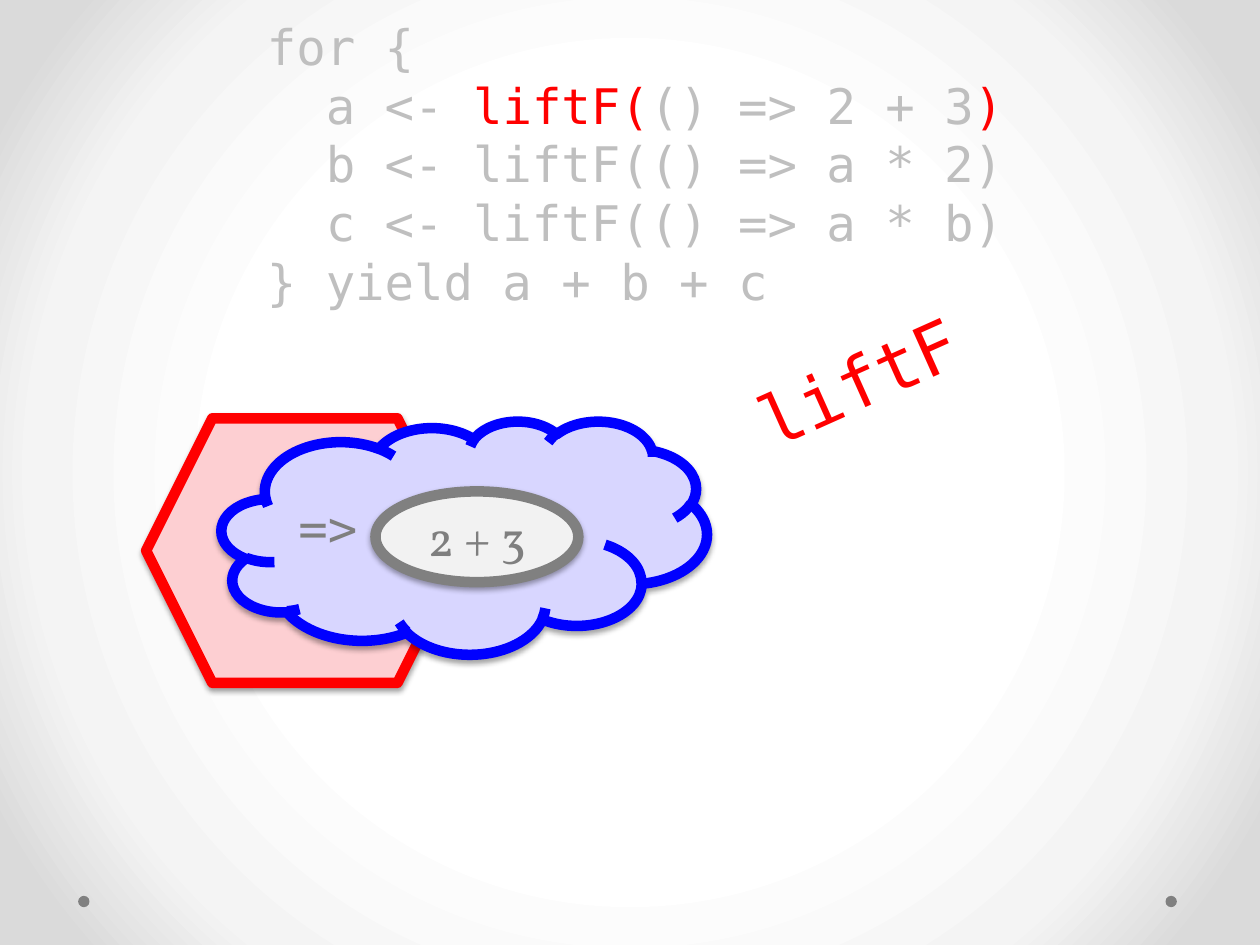
from lxml import etree
from pptx import Presentation
from pptx.dml.color import RGBColor
from pptx.enum.shapes import MSO_SHAPE as Shape
from pptx.enum.text import MSO_ANCHOR as Anchor, PP_ALIGN as Align
from pptx.oxml import parse_xml
from pptx.util import Inches, Pt

MONO, SERIF = "DejaVu Sans Mono", "Vollkorn"
RED, BLUE, GRAY, TEXT_GRAY, PALE = "FF0000", "0000FF", "808080", "7F7F7F", "BFBFBF"
NS = 'xmlns:a="http://schemas.openxmlformats.org/drawingml/2006/main"'

# Content: each code line is a list of (text, colour) runs
CODE = [
    [("for {", PALE)],
    [("  a <- ", PALE), ("liftF(", RED), ("() => 2 + 3", PALE), (")", RED)],
    [("  b <- liftF(() => a * 2)", PALE)],
    [("  c <- liftF(() => a * b)", PALE)],
    [("} yield a + b + c", PALE)],
]
BACKGROUND_STOPS = [(50, "FFFFFF"), (76, "F4F4F4"), (92, "DADADA")]
DOTS = [(9.25, 7.11, 0.09, 0.09), (0.62, 7.11, 0.09, 0.09)]


def color(value):
    return RGBColor.from_string(value)


def add_shape(kind, box, fill, line=None):
    shape = slide.shapes.add_shape(kind, *map(Inches, box))
    shape.shadow.inherit = False
    shape.fill.solid()
    shape.fill.fore_color.rgb = color(fill)
    if line is None:
        shape.line.fill.background()
        return shape
    shape.line.color.rgb = color(line)
    shape.line.width = Pt(6)
    effects = shape._element.spPr.find("{*}effectLst")
    effects.append(parse_xml(
        f'<a:outerShdw {NS} blurRad="{Pt(3.1)}" dist="{Pt(1.8)}" dir="5400000" rotWithShape="0">'
        '<a:srgbClr val="000000"><a:alpha val="35000"/></a:srgbClr></a:outerShdw>'))
    return shape


def write(frame, lines, size, font=MONO, align=Align.LEFT):
    frame.word_wrap = True
    for index, runs in enumerate(lines):
        paragraph = frame.add_paragraph() if index else frame.paragraphs[0]
        paragraph.alignment = align
        paragraph.font.size = Pt(size)
        paragraph.font.name = font
        for text, tint in runs:
            run = paragraph.add_run()
            run.text = text
            run.font.color.rgb = color(tint)


def add_text(box, lines, size, rotation=0):
    text_box = slide.shapes.add_textbox(*map(Inches, box))
    text_box.rotation = rotation
    write(text_box.text_frame, lines, size)


presentation = Presentation()
presentation.slide_width, presentation.slide_height = Inches(10), Inches(7.5)
slide = presentation.slides.add_slide(presentation.slide_layouts[6])

# Radial background
slide.background.fill.gradient()
gradient = next(slide._element.iter("{*}gradFill"))
stops = "".join(f'<a:gs pos="{position * 1000}"><a:srgbClr val="{tint}"/></a:gs>'
                for position, tint in BACKGROUND_STOPS)
gradient.getparent().replace(gradient, parse_xml(
    f'<a:gradFill {NS} rotWithShape="1"><a:gsLst>{stops}</a:gsLst><a:path path="circle">'
    '<a:fillToRect l="50000" t="50000" r="50000" b="50000"/></a:path></a:gradFill>'))

# Corner dots
for dot in DOTS:
    add_shape(Shape.OVAL, dot, GRAY)

# Hexagon and cloud
add_shape(Shape.HEXAGON, (1.16, 3.32, 2.52, 2.1), "FDCFD2", RED)
add_shape(Shape.CLOUD, (1.76, 3.34, 3.85, 1.85), "D8D6FF", BLUE)

# Code and its tilted label
add_text((2.02, 0.08, 7.28, 2.93), CODE, 28)
add_text((5.84, 2.47, 2.7, 0.77), [[("liftF", RED)]], 40, rotation=335.9)

# Function value inside the cloud
value = add_shape(Shape.OVAL, (2.98, 3.9, 1.61, 0.72), "F2F2F2", GRAY)
value.text_frame.vertical_anchor = Anchor.MIDDLE
write(value.text_frame, [[("2 + 3", TEXT_GRAY)]], 28, SERIF, Align.CENTER)
add_text((2.27, 3.9, 1.42, 0.57), [[("=>", TEXT_GRAY)]], 28)

presentation.save("out.pptx")
